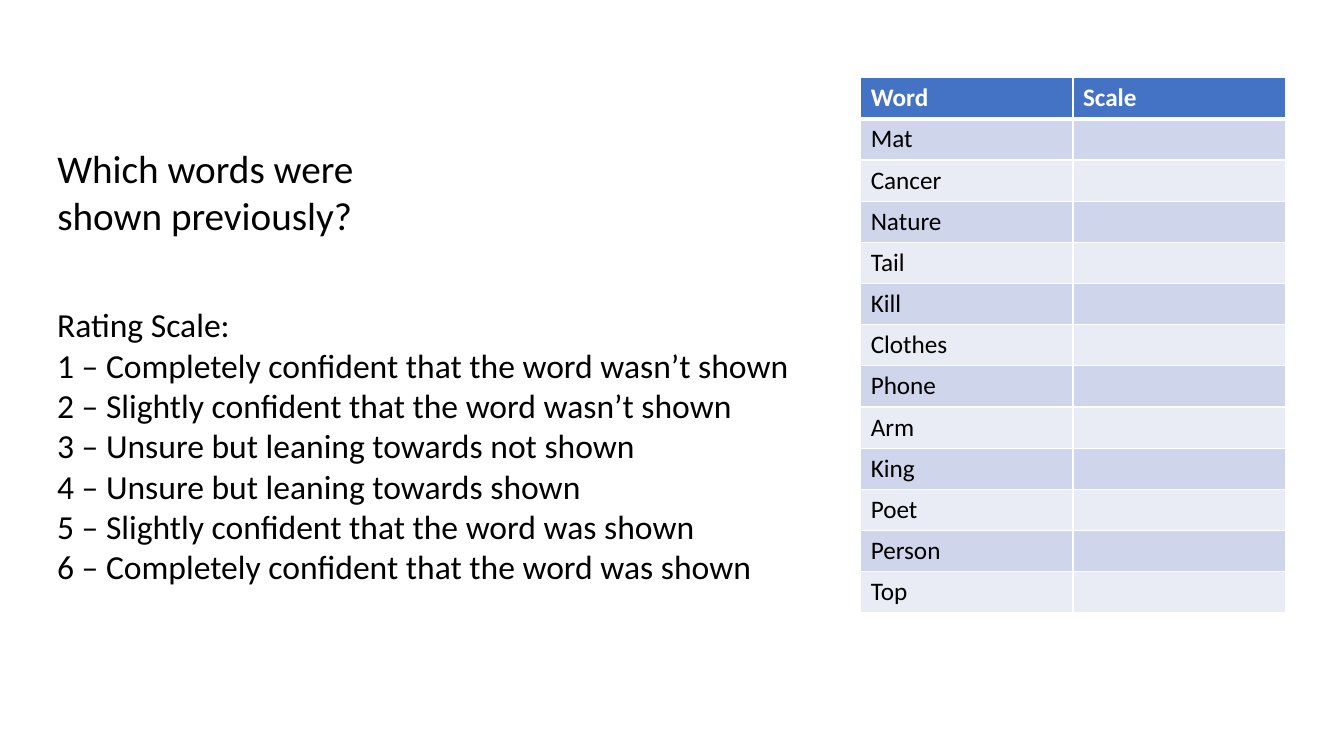
from lxml.etree import SubElement as Sub
from pptx import Presentation
from pptx.dml.color import RGBColor
from pptx.enum.text import MSO_ANCHOR as Anchor, MSO_AUTO_SIZE as Auto, PP_ALIGN as Align
from pptx.oxml.ns import qn
from pptx.util import Cm, Pt

# Content
ask = ["Which words were ", "shown previously?"]
scale = [
    "Rating Scale: ",
    "1 – Completely confident that the word wasn’t shown ",
    "2 – Slightly confident that the word wasn’t shown ",
    "3 – Unsure but leaning towards not shown ",
    "4 – Unsure but leaning towards shown ",
    "5 – Slightly confident that the word was shown ",
    "6 – Completely confident that the word was shown ",
]
heads = ["Word", "Scale"]
words = ["Mat", "Cancer", "Nature", "Tail", "Kill", "Clothes",
         "Phone", "Arm", "King", "Poet", "Person", "Top"]

# Look
blue, dark, pale = "4472C4", "CFD5EA", "E9EBF5"
white, black = "FFFFFF", "000000"
left = 1.19


def color(code):
    return RGBColor.from_string(code)


def style(para, size, code=black, bold=False):
    para.alignment = Align.LEFT
    look = {"name": "Calibri", "size": Pt(size), "bold": bold}
    for key, val in look.items():
        setattr(para.font, key, val)
    para.font.color.rgb = color(code)


def write(shape, lines, size, box, wrap):
    place = dict(zip(("left", "top", "width", "height"), map(Cm, box)))
    for key, val in place.items():
        setattr(shape, key, val)
    frame = shape.text_frame
    frame.text = "\n".join(lines)
    form = {"word_wrap": wrap, "auto_size": Auto.SHAPE_TO_FIT_TEXT,
            "vertical_anchor": Anchor.TOP}
    for key, val in form.items():
        setattr(frame, key, val)
    for para in frame.paragraphs:
        style(para, size)


def border(cell, base):
    props = cell._tc.get_or_add_tcPr()
    for side, width in (("L", 1), ("R", 1), ("T", 1), ("B", base)):
        line = Sub(props, qn(f"a:ln{side}"), w=str(Pt(width)))
        fill = Sub(line, qn("a:solidFill"))
        Sub(fill, qn("a:srgbClr"), val=white)


deck = Presentation()
deck.slide_width, deck.slide_height = Cm(33.87), Cm(19.05)
slide = deck.slides.add_slide(deck.slide_layouts[5])

# Question and rating scale
write(slide.shapes.title, ask, 28, (left, 3.51, 10.97, 2.64), True)
note = slide.shapes.add_textbox(0, 0, 0, 0)
write(note, scale, 24, (left, 7.54, 19.3, 7.44), False)

# Word table
rows = [heads] + [[word, ""] for word in words]
grid = slide.shapes.add_table(len(rows), len(heads), Cm(21.69), Cm(1.96),
                              Cm(10.7), Cm(13.49)).table
for r, row in enumerate(rows):
    top = r == 0
    shade = blue if top else (dark if r % 2 else pale)
    for c, text in enumerate(row):
        cell = grid.cell(r, c)
        cell.text = text
        style(cell.text_frame.paragraphs[0], 18, white if top else black, top)
        border(cell, 3 if top else 1)
        cell.fill.solid()
        cell.fill.fore_color.rgb = color(shade)

deck.save("out.pptx")
